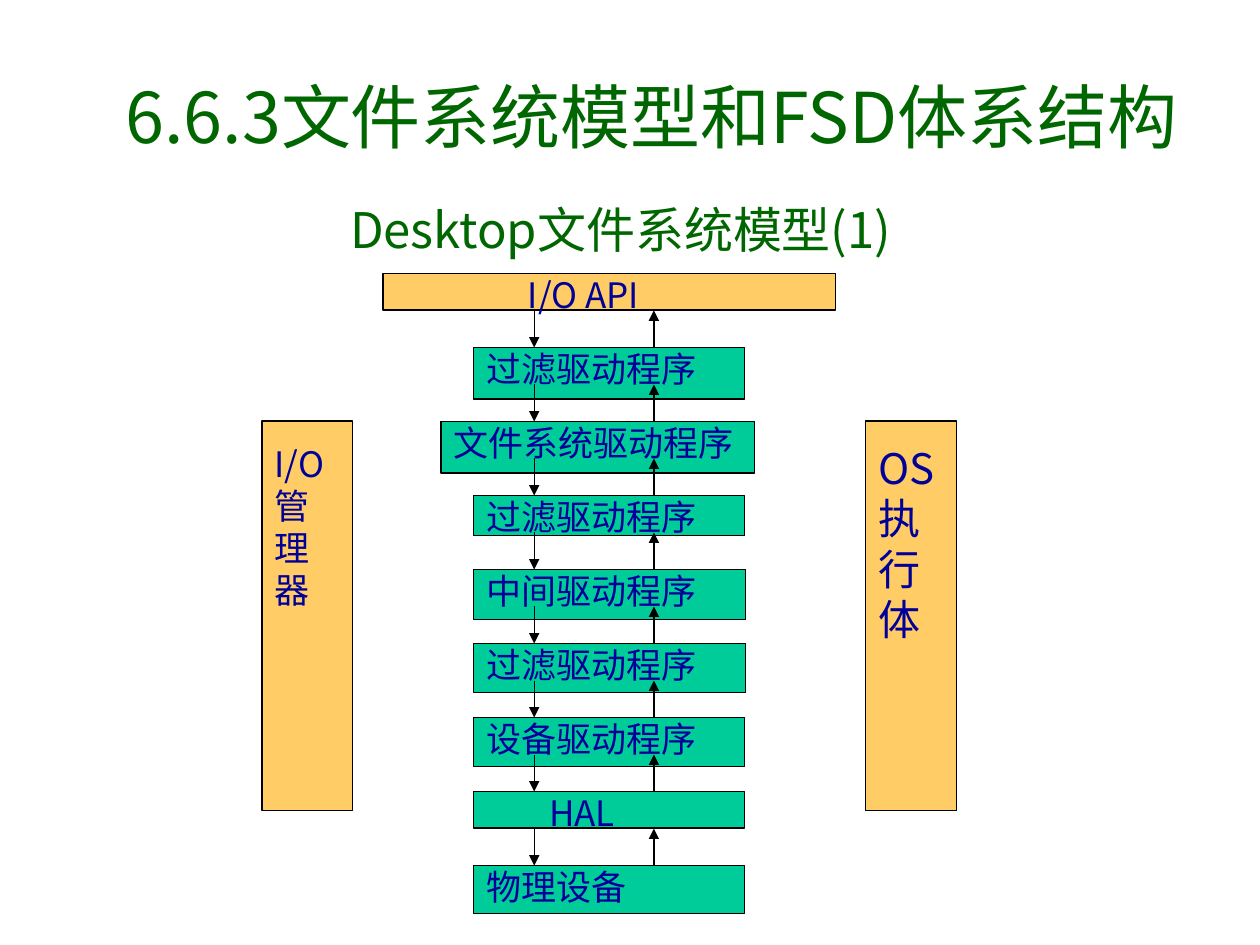
from pptx import Presentation
from pptx.dml.color import RGBColor
from pptx.enum.shapes import MSO_SHAPE as Shape, MSO_CONNECTOR as Line
from pptx.enum.text import MSO_ANCHOR as Anchor, PP_ALIGN as Align
from pptx.oxml.ns import qn
from pptx.util import Inches, Pt
from lxml.etree import SubElement

FONT = "Noto Sans CJK JP"
DARK = RGBColor(0, 0x66, 0)
NAVY = RGBColor(0, 0, 0x99)
GOLD = RGBColor(0xFF, 0xCC, 0x66)
TEAL = RGBColor(0, 0xCC, 0x99)
BLACK = RGBColor(0, 0, 0)
WHITE = RGBColor(0xFF, 0xFF, 0xFF)


def write(frame, lines, size, color, align=Align.LEFT, indent=0):
    frame.word_wrap = True
    for i, line in enumerate(lines):
        para = frame.paragraphs[0] if i == 0 else frame.add_paragraph()
        para.alignment = align
        if indent:
            para._p.get_or_add_pPr().set("marL", str(Inches(indent)))
        run = para.add_run()
        run.text = line
        run.font.name = FONT
        run.font.size = Pt(size)
        run.font.color.rgb = color
        SubElement(run._r.get_or_add_rPr(), qn("a:ea")).set("typeface", FONT)


def box(left, top, width, height, fill, edge, lines, size, color, indent=0, inset=0):
    rect = slide.shapes.add_shape(
        Shape.RECTANGLE, Inches(left), Inches(top), Inches(width), Inches(height))
    rect.shadow.inherit = False
    rect.fill.solid()
    rect.fill.fore_color.rgb = fill
    rect.line.color.rgb = edge
    rect.line.width = Pt(0.75)
    frame = rect.text_frame
    frame.vertical_anchor = Anchor.TOP
    frame.margin_top = Inches(inset)
    frame.margin_bottom = 0
    write(frame, lines, size, color, indent=indent)


deck = Presentation()
deck.slide_width = Inches(10)
deck.slide_height = Inches(7.5)
slide = deck.slides.add_slide(deck.slide_layouts[6])

title = slide.shapes.add_textbox(Inches(0.75), Inches(0.29), Inches(8.84), Inches(1.25))
title.text_frame.vertical_anchor = Anchor.MIDDLE
write(title.text_frame, ["6.6.3文件系统模型和FSD体系结构"], 40, DARK, Align.CENTER)

box(2.58, 1.58, 5.42, 0.58, WHITE, WHITE, ["Desktop文件系统模型(1)"], 28, DARK, indent=0.1)

layers = [
    ("I/O API", 3.04, 3.59, 0.29, GOLD, 1.05),
    ("过滤驱动程序", 3.76, 2.15, 0.41, TEAL, 0),
    ("文件系统驱动程序", 3.5, 2.49, 0.41, TEAL, 0),
    ("过滤驱动程序", 3.76, 2.15, 0.32, TEAL, 0),
    ("中间驱动程序", 3.76, 2.16, 0.4, TEAL, 0),
    ("过滤驱动程序", 3.76, 2.16, 0.39, TEAL, 0),
    ("设备驱动程序", 3.76, 2.15, 0.39, TEAL, 0),
    ("HAL", 3.76, 2.15, 0.29, TEAL, 0.5),
    ("物理设备", 3.76, 2.15, 0.38, TEAL, 0),
]
step = 4.7 / 8
tops = [2.17 + step * i for i in range(len(layers))]
for top, (name, left, width, height, fill, indent) in zip(tops, layers):
    box(left, top, width, height, fill, BLACK, [name], 20, NAVY, indent)

for left, lines, size in [(2.08, ["I/O", "管理器"], 20), (6.87, ["OS", "执行体"], 24)]:
    box(left, 3.34, 0.72, 3.09, GOLD, BLACK, lines, size, NAVY, inset=0.17)

for top in tops[:-1]:
    high, low = top + step / 2, top + step
    for x, start, end in [(4.24, high, low), (5.19, low, high)]:
        arrow = slide.shapes.add_connector(
            Line.STRAIGHT, Inches(x), Inches(start), Inches(x), Inches(end))
        arrow.line.color.rgb = BLACK
        arrow.line.width = Pt(0.75)
        SubElement(arrow.line._get_or_add_ln(), qn("a:tailEnd")).set("type", "triangle")
        SubElement(arrow._element.spPr, qn("a:effectLst"))

deck.save("out.pptx")
